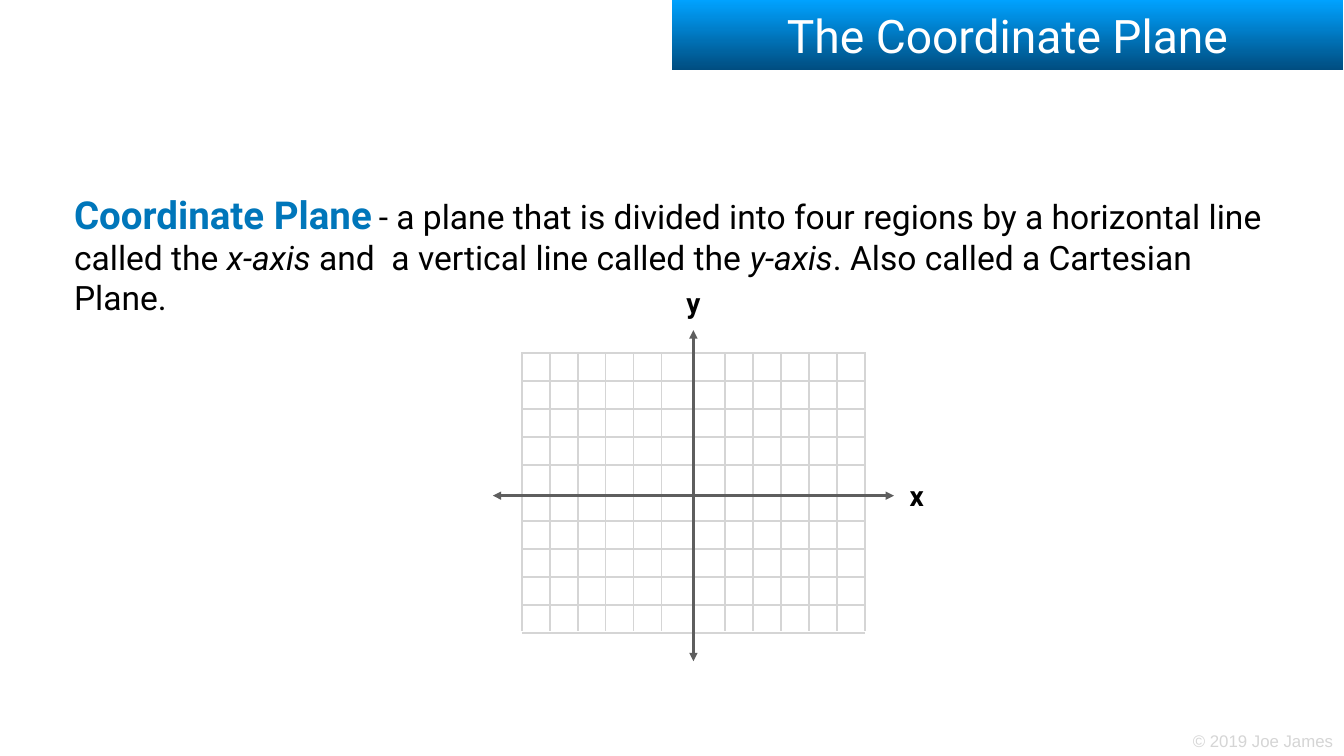
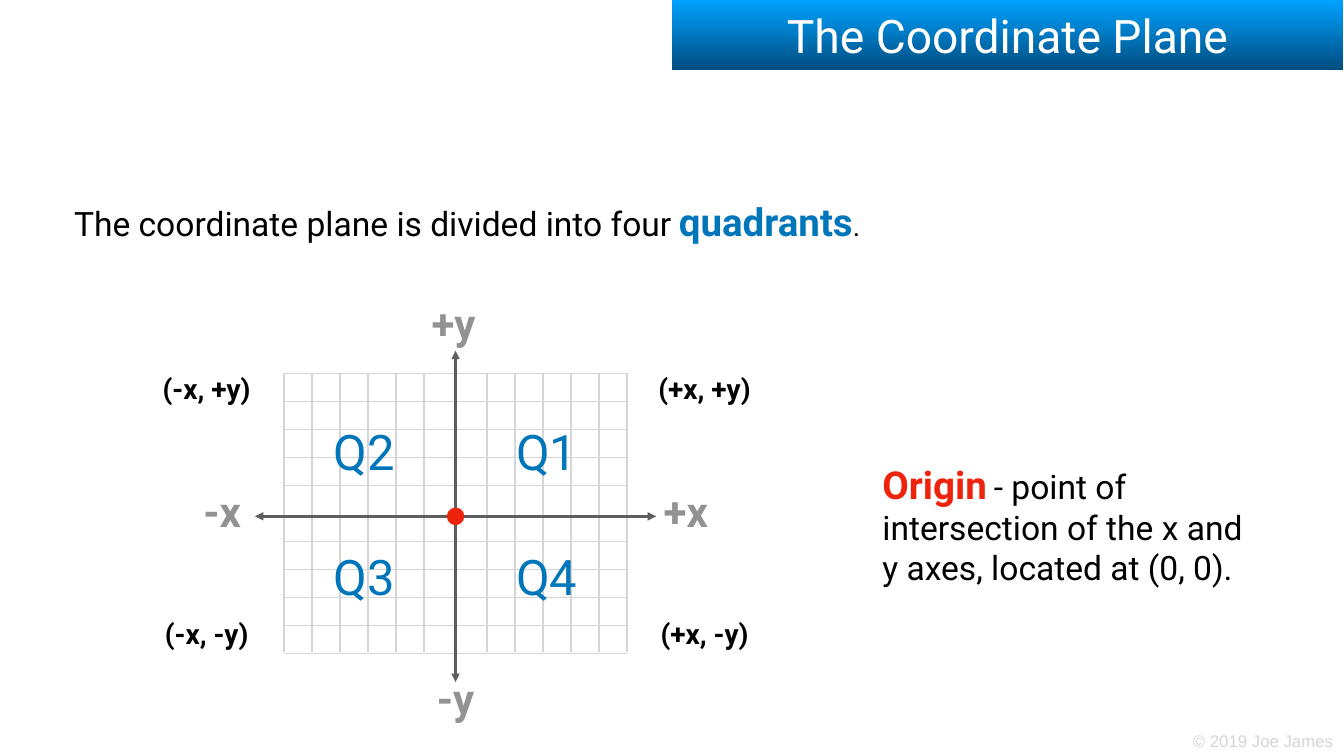
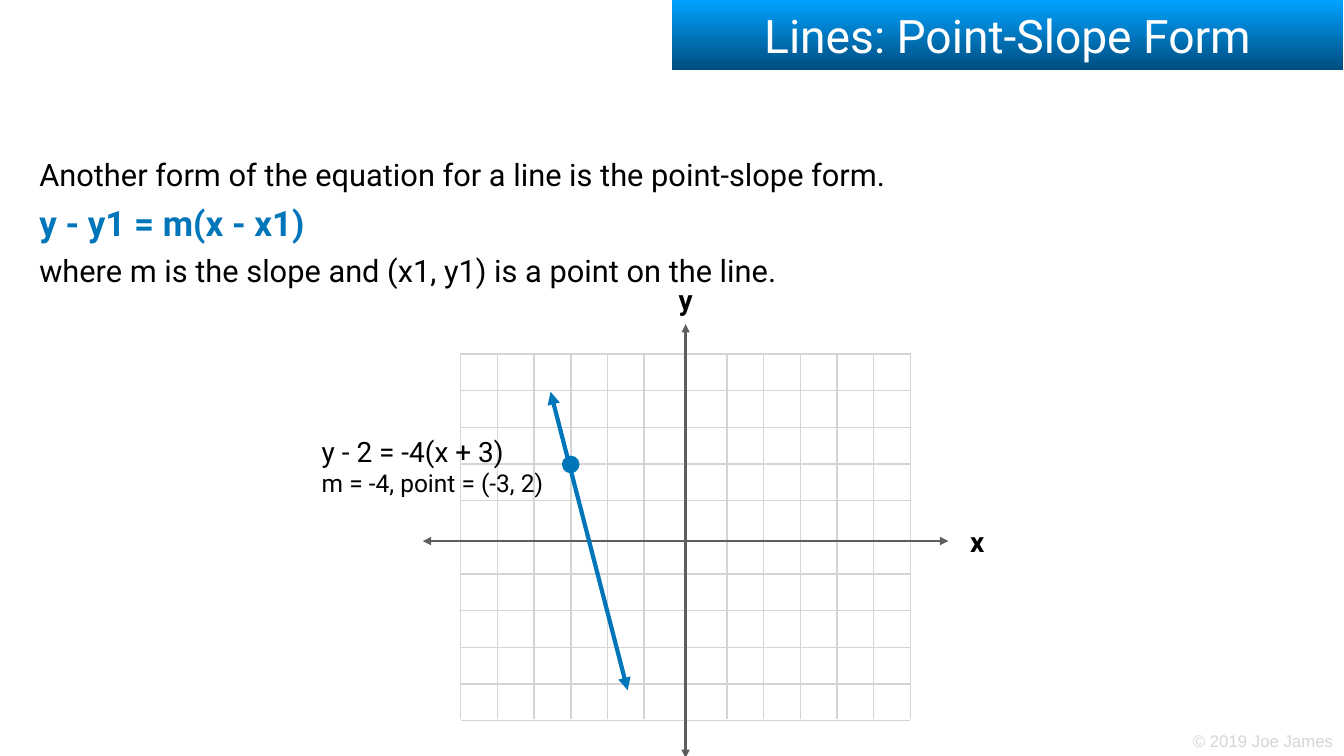
from lxml import etree
from pptx import Presentation
from pptx.dml.color import RGBColor
from pptx.enum.shapes import MSO_CONNECTOR, MSO_SHAPE
from pptx.enum.text import MSO_ANCHOR, MSO_AUTO_SIZE, PP_ALIGN
from pptx.oxml.ns import qn
from pptx.util import Inches, Pt

STRAIGHT = MSO_CONNECTOR.STRAIGHT
OVAL = MSO_SHAPE.OVAL
TOP, MIDDLE = MSO_ANCHOR.TOP, MSO_ANCHOR.MIDDLE
LEFT, CENTER = PP_ALIGN.LEFT, PP_ALIGN.CENTER
FIXED = MSO_AUTO_SIZE.NONE

COLORS = {
    "sky": "00A2FF", "navy": "004D80", "blue": "0076BA", "red": "EE230C",
    "black": "000000", "white": "FFFFFF", "pale": "D5D5D5",
    "gray": "929292", "dark": "5E5E5E",
}
FONT = "Roboto"
WIDE, HIGH = 26.67, 15
BAND = (13.33, 0, 13.33, 1.39)
FOOT = (23.61, 14.45, 2.91, 0.49)
SPAN = 14.33
EDGE = 1.13
COLS, ROWS = 6, 5


def tint(name):
    """Return the named colour."""
    return RGBColor.from_string(COLORS[name])


def write(shape, paras, size=48, color="black", bold=False, font=FONT,
          align=LEFT, anchor=TOP, wrap=True, space=0):
    """Fill a shape with paragraphs of (text, format) runs or plain text."""
    frame = shape.text_frame
    frame.auto_size = FIXED
    frame.word_wrap = wrap
    frame.vertical_anchor = anchor
    frame.margin_left = frame.margin_right = Inches(0.06)
    frame.margin_top = frame.margin_bottom = Inches(0.06)
    for pos, runs in enumerate([paras] if isinstance(paras, str) else paras):
        para = frame.add_paragraph() if pos else frame.paragraphs[0]
        para.alignment = align
        if pos and space:
            para.space_before = Pt(space)
        for text, look in [(runs, {})] if isinstance(runs, str) else runs:
            if text == "\n":
                para.add_line_break()
                continue
            run = para.add_run()
            run.text = text
            run.font.name = font
            run.font.size = Pt(look.get("size", size))
            run.font.bold = look.get("bold", bold)
            run.font.italic = look.get("italic", False)
            run.font.color.rgb = tint(look.get("color", color))


def label(slide, box, paras, **look):
    """Add a text box and write in it."""
    shape = slide.shapes.add_textbox(*map(Inches, box))
    write(shape, paras, **look)
    return shape


def mark(slide, mid, spot, text, width, height, **look):
    """Centre a short label at an offset from a middle point."""
    left = mid[0] + spot[0] - width / 2
    top = mid[1] + spot[1] - height / 2
    label(slide, (left, top, width, height), text,
          align=CENTER, anchor=MIDDLE, **look)


def draw(shapes, start, end, color="pale", width=2, arrows=False):
    """Add a straight line, with arrows at both ends if asked."""
    line = shapes.add_connector(STRAIGHT, *map(Inches, (*start, *end)))
    line.line.color.rgb = tint(color)
    line.line.width = Pt(width)
    props = line.element.spPr
    if arrows:
        for tag in ("a:headEnd", "a:tailEnd"):
            etree.SubElement(props.find(qn("a:ln")), qn(tag), type="triangle")
    etree.SubElement(props, qn("a:effectLst"))


def dot(slide, mid, spot, color, size=0.35):
    """Add a round point at an offset from a middle point."""
    left, top = (m + s - size / 2 for m, s in zip(mid, spot))
    shape = slide.shapes.add_shape(OVAL, *map(Inches, (left, top, size, size)))
    shape.shadow.inherit = False
    shape.fill.solid()
    shape.fill.fore_color.rgb = tint(color)
    shape.line.fill.background()


def plane(slide, box):
    """Draw the grid and both axes in a box and return its middle."""
    left, top, width, height = box
    x, y = left + width / 2, top + height / 2
    unit = width / SPAN
    side = (EDGE + COLS - 1) * unit
    rise, fall = (EDGE + 4) * unit, 4.84 * unit
    shapes = slide.shapes.add_group_shape().shapes
    for step in range(ROWS):
        for level in (y - (1.1 + step) * unit, y + (0.9 + step) * unit):
            draw(shapes, (x - side, level), (x + side, level))
    for step in range(COLS):
        shift = (EDGE + step) * unit
        for place in (x - shift, x + shift):
            draw(shapes, (place, y - rise), (place, y + fall))
    axis = {"color": "dark", "width": 4, "arrows": True}
    draw(shapes, (left, y), (left + width, y), **axis)
    draw(shapes, (x, top), (x, top + height), **axis)
    return x, y


def names(slide, box, mid, gap, rise):
    """Name the axes beyond the right and top of a plane."""
    for text, spot in (("x", (box[2] / 2 + gap, 0)),
                       ("y", (0, -box[3] / 2 - rise))):
        mark(slide, mid, spot, text, 0.42, 0.78, size=40, bold=True, wrap=False)


def signs(slide, mid):
    """Label the quadrants, their signs and the axis ends."""
    for text, spot in (("+x", (4.57, -0.11)), ("+y", (-0.04, -3.84)),
                       ("-y", (0, 3.59)), ("-x", (-4.63, -0.11))):
        mark(slide, mid, spot, text, 1.07, 1.11, size=60, color="gray", bold=True)
    for name, pair, side, up in (("Q1", "(+x, +y)", 1, True),
                                 ("Q2", "(-x, +y)", -1, True),
                                 ("Q3", "(-x, -y)", -1, False),
                                 ("Q4", "(+x, -y)", 1, False)):
        mark(slide, mid, (1.81 * side, -1.3 if up else 1.19), name,
             1.4, 1.25, size=70, color="blue")
        mark(slide, mid, (4.94 * side, -2.54 if up else 2.32), pair,
             2.02, 0.78, size=40, bold=True)


def start(deck, title):
    """Add a slide with its title band."""
    slide = deck.slides.add_slide(deck.slide_layouts[5])
    band = slide.shapes.title
    band.left, band.top, band.width, band.height = map(Inches, BAND)
    band.fill.gradient()
    band.fill.gradient_angle = 270
    for stop, (place, name) in zip(band.fill.gradient_stops,
                                   ((0, "sky"), (1, "navy"))):
        stop.position = place
        stop.color.rgb = tint(name)
    write(band, title, size=66, color="white", align=CENTER, anchor=MIDDLE)
    return slide


def footer(slide):
    """Put the copyright line on the layout that all slides share."""
    shape = label(slide, FOOT, "© 2019 Joe James", size=24, color="pale",
                  font="Arial", anchor=MIDDLE, wrap=False)
    slide.slide_layout.shapes.element.append(shape.element)


def term(text, color="blue"):
    """Return a run for a defined term."""
    return text, {"size": 55, "color": color, "bold": True}


def define(deck):
    """Build the slide that defines the plane."""
    slide = start(deck, "The Coordinate Plane")
    footer(slide)
    slant = {"italic": True}
    label(slide, (1.41, 3.72, 24.08, 2.62), [[
        term("Coordinate Plane"), (" ", {"size": 40}),
        ("- a plane that is divided into four regions by a horizontal line "
         "called the ", {}),
        ("x-axis", slant), (" and  a vertical line called the ", {}),
        ("y-axis", slant), (". Also called a Cartesian Plane.", {})]])
    box = (9.78, 6.55, 7.96, 6.57)
    names(slide, box, plane(slide, box), 0.45, 0.55)


def divide(deck):
    """Build the slide on quadrants and the origin."""
    slide = start(deck, "The Coordinate Plane")
    mid = plane(slide, (5.06, 6.96, 7.96, 6.57))
    signs(slide, mid)
    dot(slide, mid, (0, 0), "red")
    label(slide, (17.45, 9.08, 7.63, 2.62), [[
        term("Origin", "red"), (" ", {"size": 40}),
        ("- point of intersection of the x and y axes, located at (0, 0).", {})]])
    label(slide, (1.41, 3.86, 24.44, 1.03), [[
        ("The coordinate plane is divided into four", {}), (" ", {"size": 40}),
        term("quadrants"), (".", {"size": 40})]])


def slope(deck):
    """Build the slide on the point-slope form."""
    slide = start(deck, "Lines: Point-Slope Form")
    box = (8.39, 6.43, 10.43, 8.61)
    mid = plane(slide, box)
    names(slide, box, mid, 0.57, 0.49)
    label(slide, (0.72, 3.03, 17.71, 2.72), [
        "Another form of the equation for a line is the point-slope form.",
        [("y - y1 = m(x - x1)", {"size": 50, "color": "blue", "bold": True})],
        "where m is the slope and (x1, y1) is a point on the line."],
        size=44, space=12)
    dot(slide, mid, (-2.28, -1.52), "blue")
    label(slide, (mid[0] - 7.28, mid[1] - 2.18, 4.86, 1.33), [[
        ("y - 2 = -4(x + 3)", {}), ("\n", {}),
        ("m = -4, point = (-3, 2)", {"size": 35})]], size=40)
    draw(slide.shapes, (mid[0] - 1.15, mid[1] + 2.96),
         (mid[0] - 2.68, mid[1] - 2.96), color="blue", width=6, arrows=True)


def main():
    """Build and save the deck."""
    deck = Presentation()
    deck.slide_width, deck.slide_height = Inches(WIDE), Inches(HIGH)
    for build in (define, divide, slope):
        build(deck)
    deck.save("out.pptx")


if __name__ == "__main__":
    main()
